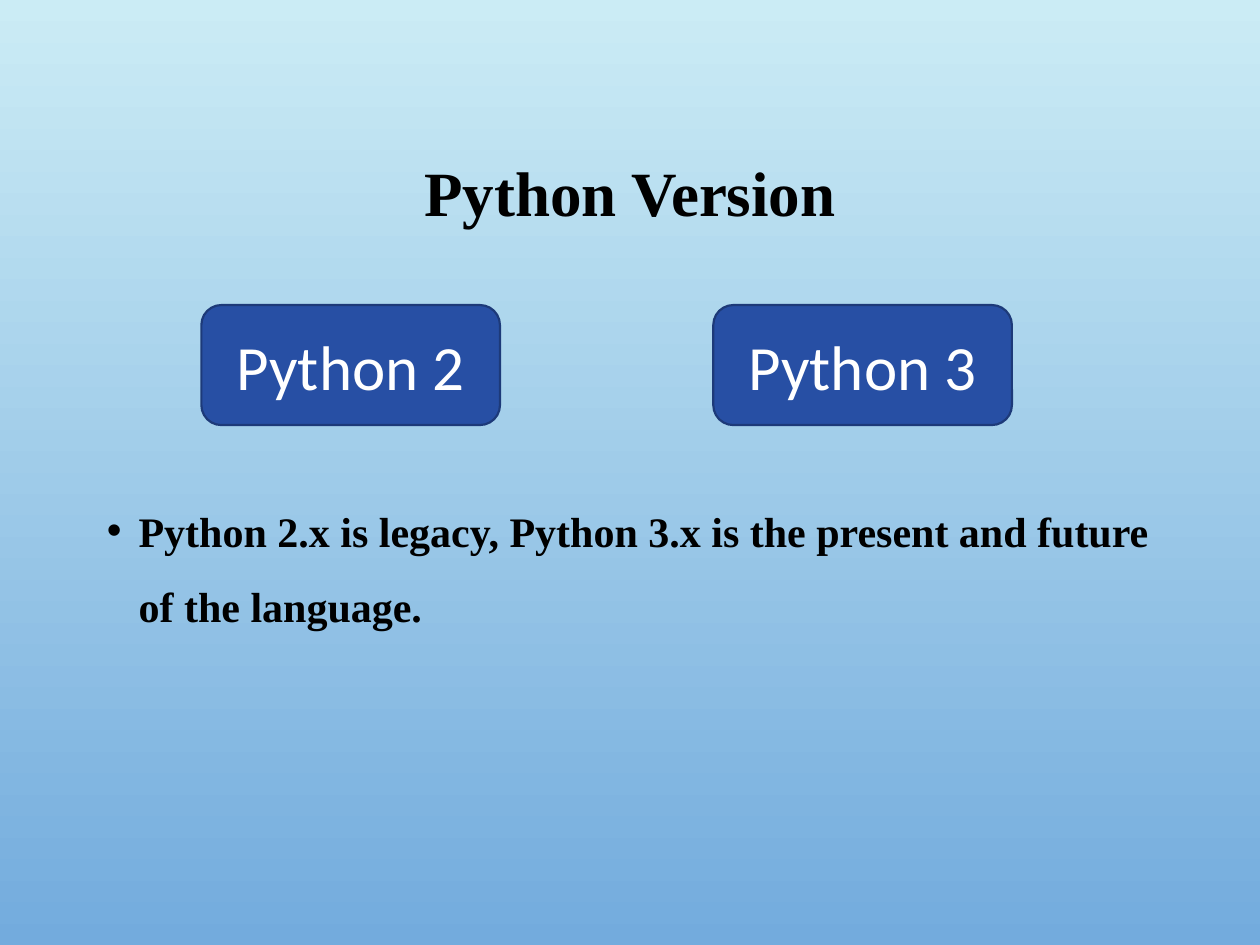
from pptx import Presentation
from pptx import util as u
from pptx.dml.color import RGBColor
from pptx.enum import shapes, text

COLORS = {
    "sky_top": "CBECF5",
    "sky_bottom": "73ABDD",
    "ink": "000000",
    "box": "274FA4",
    "box_edge": "1D3A79",
    "box_text": "FFFFFF",
}


def color(name):
    return RGBColor.from_string(COLORS[name])


def write(holder, words, font_name, size, ink, bold, anchor):
    frame = holder.text_frame
    frame.text = words
    frame.word_wrap = True
    frame.auto_size = text.MSO_AUTO_SIZE.NONE
    frame.vertical_anchor = anchor
    paragraph = frame.paragraphs[0]
    paragraph.font.name = font_name
    paragraph.font.size = u.Pt(size)
    paragraph.font.bold = bold
    paragraph.font.color.rgb = color(ink)
    return paragraph


prs = Presentation()
prs.slide_width, prs.slide_height = u.Cm(25.4), u.Cm(19.05)
slide = prs.slides.add_slide(prs.slide_layouts[1])

sky = slide.background.fill
sky.gradient()
sky.gradient_angle = 270
for stop, position, name in zip(sky.gradient_stops, (0, 1), ("sky_top", "sky_bottom")):
    stop.position = position
    stop.color.rgb = color(name)

title = slide.shapes.title
title.left, title.top, title.width, title.height = u.Cm(1.9), u.Cm(1.73), u.Cm(21.6), u.Cm(4.45)
heading = write(title, "Python Version", "Times New Roman", 36, "ink", True, text.MSO_ANCHOR.MIDDLE)
heading.alignment = text.PP_ALIGN.CENTER
heading.line_spacing = 0.9

body = slide.placeholders[1]
body.left, body.top, body.width, body.height = u.Cm(1.9), u.Cm(9.55), u.Cm(21.6), u.Cm(6.53)
outlook = write(
    body,
    "Python 2.x is legacy, Python 3.x is the present and future of the language.",
    "Times New Roman", 24, "ink", True, text.MSO_ANCHOR.TOP,
)
outlook.line_spacing = 1.5
outlook.space_before = u.Pt(10)
indent = u.Cm(0.64)
outlook_properties = outlook._p.get_or_add_pPr()
outlook_properties.set("marL", str(indent))
outlook_properties.set("indent", str(-indent))

for column, version in enumerate(("Python 2", "Python 3")):
    box = slide.shapes.add_shape(
        shapes.MSO_SHAPE.ROUNDED_RECTANGLE,
        u.Cm(4.06 + 10.32 * column), u.Cm(6.15), u.Cm(6.02), u.Cm(2.42),
    )
    box.shadow.inherit = False
    box.fill.solid()
    box.fill.fore_color.rgb = color("box")
    box.line.color.rgb = color("box_edge")
    box.line.width = u.Pt(1.25)
    label = write(box, version, "Calibri", 36, "box_text", False, text.MSO_ANCHOR.MIDDLE)
    label.alignment = text.PP_ALIGN.CENTER

prs.save("out.pptx")
